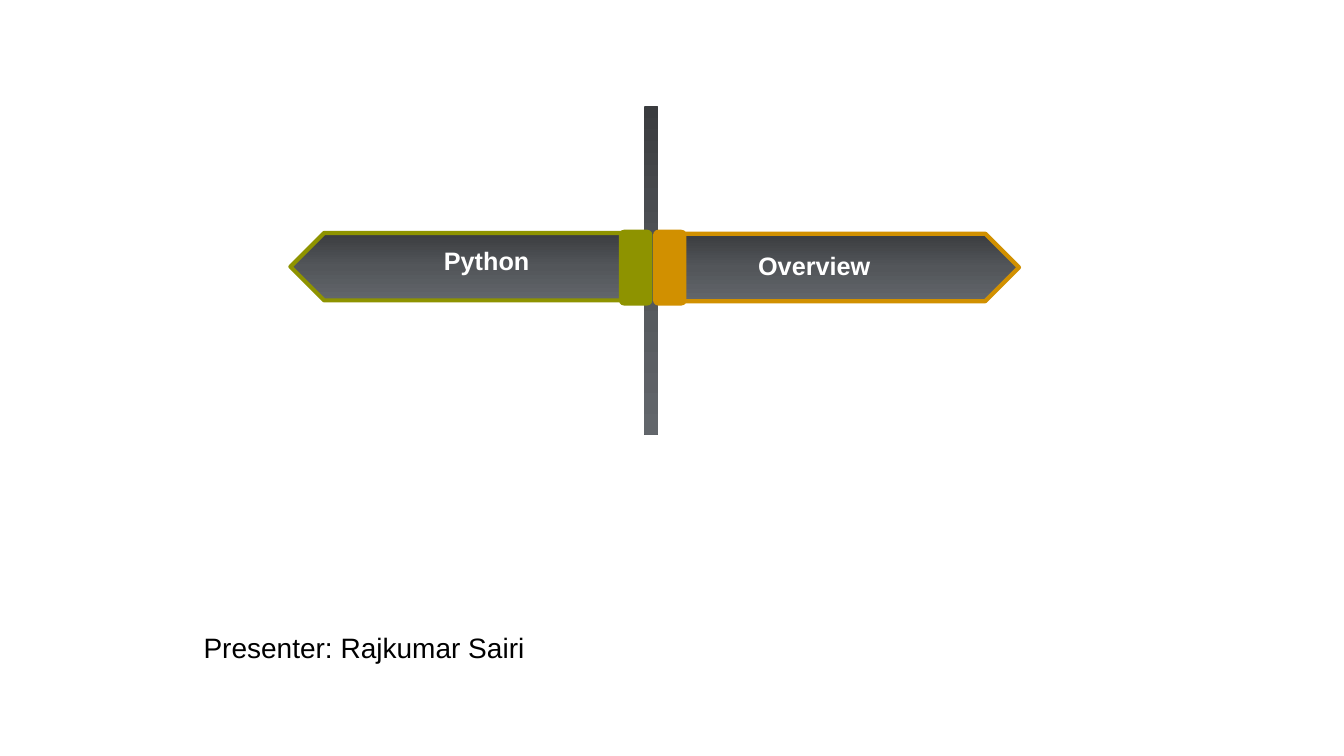
from copy import deepcopy

from pptx import Presentation
from pptx.dml.color import RGBColor
from pptx.enum.shapes import MSO_SHAPE
from pptx.enum.text import MSO_ANCHOR, PP_ALIGN
from pptx.oxml.ns import qn
from pptx.util import Cm, Pt

COLORS = {
    "black": "000000",
    "white": "FFFFFF",
    "olive": "8E9300",
    "amber": "D19000",
}
STEEL = ["3A3C3F", "53565A", "62666B"]
FONT = "Arial"


def color(name):
    return RGBColor.from_string(COLORS[name])


def fill_steel(shape):
    """Vertical three-stop gradient, dark at the top."""
    shape.fill.gradient()
    shape.fill.gradient_angle = 270
    stop_list = shape.element.spPr.find(".//" + qn("a:gsLst"))
    stop_list.insert(1, deepcopy(stop_list[0]))
    for index, (stop, shade) in enumerate(zip(shape.fill.gradient_stops, STEEL)):
        stop.position = index / 2
        stop.color.rgb = RGBColor.from_string(shade)


def add_preset(slide, kind, box, adjustment):
    shape = slide.shapes.add_shape(kind, *map(Cm, box))
    shape.shadow.inherit = False
    shape.adjustments[0] = adjustment
    shape.line.fill.background()
    return shape


def add_pole(slide, box):
    fill_steel(add_preset(slide, MSO_SHAPE.ROUNDED_RECTANGLE, box, 0.1))


def add_sign(slide, arrow_box, clip_left, accent, points_left=False):
    """Arrow board with the clip that holds it to the pole."""
    arrow = add_preset(slide, MSO_SHAPE.PENTAGON, arrow_box, 0.5)
    fill_steel(arrow)
    arrow.line.color.rgb = color(accent)
    arrow.line.width = Pt(3)
    if points_left:
        arrow.element.spPr.find(qn("a:xfrm")).set("flipH", "1")

    clip_box = (clip_left, 5.79, 0.84, 1.91)
    clip = add_preset(slide, MSO_SHAPE.ROUNDED_RECTANGLE, clip_box, 0.15)
    clip.fill.solid()
    clip.fill.fore_color.rgb = color(accent)


def add_text(slide, box, text, size, color_name, bold=False):
    frame = slide.shapes.add_textbox(*map(Cm, box)).text_frame
    frame.word_wrap = True
    paragraph = frame.paragraphs[0]
    run = paragraph.add_run()
    run.text = text
    run.font.name = FONT
    run.font.size = Pt(size)
    run.font.bold = bold
    run.font.color.rgb = color(color_name)
    return frame, paragraph


def add_sign_label(slide, box, text):
    frame, paragraph = add_text(slide, box, text, 18, "white", bold=True)
    frame.margin_left = frame.margin_right = 0
    frame.margin_top = frame.margin_bottom = 0
    paragraph.alignment = PP_ALIGN.CENTER
    # Hanging indent
    properties = paragraph._p.get_or_add_pPr()
    properties.set("marL", str(Cm(0.5)))
    properties.set("indent", str(-Cm(0.5)))


def add_presenter(slide, box, text):
    frame, paragraph = add_text(slide, box, text, 20, "black")
    frame.vertical_anchor = MSO_ANCHOR.MIDDLE
    paragraph.line_spacing = 0.9


def main():
    presentation = Presentation()
    presentation.slide_width = Cm(33.87)
    presentation.slide_height = Cm(19.05)
    slide = presentation.slides.add_slide(presentation.slide_layouts[6])

    # Presenter line
    add_presenter(slide, (4.88, 15.88, 16.94, 0.97), "Presenter: Rajkumar Sairi")

    # Signpost
    add_pole(slide, (16.23, 2.67, 0.36, 8.28))
    add_sign(slide, (7.32, 5.87, 8.46, 1.7), 15.6, "olive", points_left=True)
    add_sign(slide, (17.22, 5.89, 8.46, 1.7), 16.46, "amber")

    # Sign labels
    add_sign_label(slide, (9.27, 6.17, 5.99, 1.14), "Python")
    add_sign_label(slide, (17.55, 6.3, 5.94, 0.91), "Overview")

    presentation.save("out.pptx")


if __name__ == "__main__":
    main()
